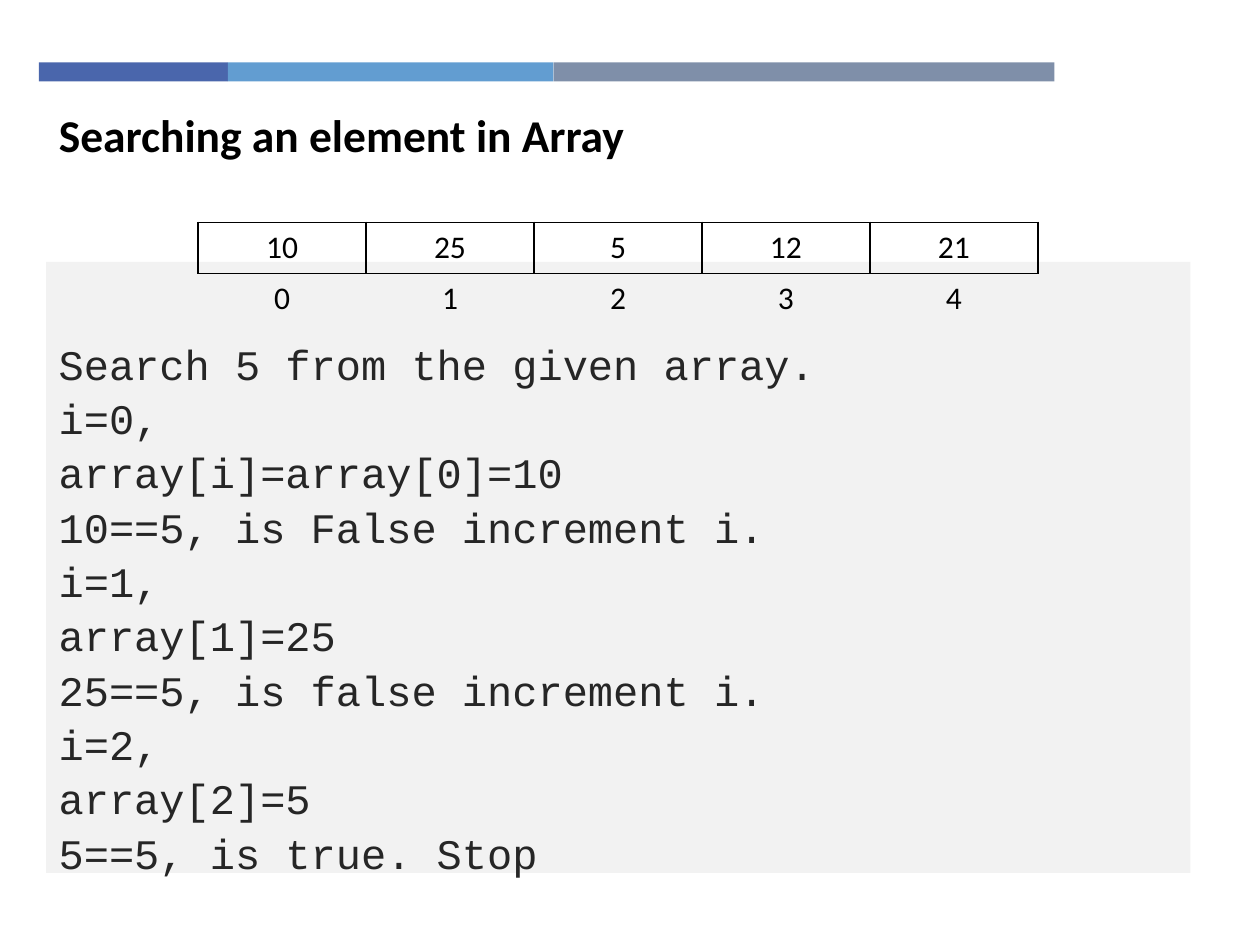
"""Build the slide on searching an element in an array."""
import pptx
import pptx.dml.color
import pptx.enum.shapes
import pptx.enum.text
import pptx.oxml
import pptx.oxml.ns
import pptx.util

Pt = pptx.util.Pt
ALIGN = pptx.enum.text.PP_ALIGN
TOP = pptx.enum.text.MSO_ANCHOR.TOP

TITLE = "Searching an element in Array"
BARS = [(108, "4A66AC"), (186, "629DD1"), (286.2, "7F8FA9")]
STEPS = [
    "Search 5 from the given array.",
    "i=0,",
    "array[i]=array[0]=10",
    "10==5, is False increment i.",
    "i=1,",
    "array[1]=25",
    "25==5, is false increment i.",
    "i=2,",
    "array[2]=5",
    "5==5, is true. Stop",
]
ROWS = [["10", "25", "5", "12", "21"], ["0", "1", "2", "3", "4"]]
EDGES = [["lnL", "lnR", "lnT", "lnB"], ["lnT"]]
PLAIN = "{2D5ABB26-0587-4C30-8999-92F81FD0307C}"
COL, ROW = 96, 29.2

HEAD = {"name": "Calibri", "size": Pt(26), "bold": True}
CODE = {"name": "Courier New", "size": Pt(24), "bold": False}
CELL = {"name": "Calibri", "size": Pt(18), "bold": False}
FLOW = {"alignment": ALIGN.JUSTIFY, "line_spacing": 0.8,
        "space_before": Pt(4), "space_after": Pt(4)}
LEFT = {"alignment": ALIGN.LEFT, "line_spacing": 1.0, "space_before": Pt(0)}
MID = {"alignment": ALIGN.CENTER}


def tint(item, color):
    item.rgb = pptx.dml.color.RGBColor.from_string(color)


def apply(item, look):
    for key, value in look.items():
        setattr(item, key, value)


def write(frame, lines, font, para, color):
    frame.text = "\n".join(lines)
    for part in frame.paragraphs:
        apply(part, para)
        for run in part.runs:
            apply(run.font, font)
            tint(run.font.color, color)


def inset(frame, top):
    apply(frame, {"word_wrap": True, "vertical_anchor": TOP,
                  "auto_size": pptx.enum.text.MSO_AUTO_SIZE.NONE,
                  "margin_left": Pt(7.2), "margin_right": Pt(7.2),
                  "margin_top": Pt(top), "margin_bottom": Pt(0)})


def block(slide, left, top, width, height, color):
    kind = pptx.enum.shapes.MSO_SHAPE.RECTANGLE
    shape = slide.shapes.add_shape(kind, Pt(left), Pt(top), Pt(width), Pt(height))
    shape.shadow.inherit = False
    shape.fill.solid()
    tint(shape.fill.fore_color, color)
    shape.line.fill.background()
    return shape


def border(cell, edges):
    props = cell._tc.get_or_add_tcPr()
    for edge in edges:
        props.append(pptx.oxml.parse_xml(
            f'<a:{edge} {pptx.oxml.ns.nsdecls("a")} w="12700"><a:solidFill>'
            f'<a:srgbClr val="000000"/></a:solidFill></a:{edge}>'))


def grid(slide):
    count = len(ROWS[0])
    table = slide.shapes.add_table(
        len(ROWS), count, Pt(113.2), Pt(127.1),
        Pt(COL * count), Pt(ROW * len(ROWS))).table
    table._tbl.tblPr.find(pptx.oxml.ns.qn("a:tableStyleId")).text = PLAIN
    apply(table, {"first_row": False, "horz_banding": False})
    for col in table.columns:
        col.width = Pt(COL)
    for r, (row, edges) in enumerate(zip(ROWS, EDGES)):
        table.rows[r].height = Pt(ROW)
        for c, text in enumerate(row):
            cell = table.cell(r, c)
            write(cell.text_frame, [text], CELL, MID, "000000")
            border(cell, edges)
            cell.fill.background()


def main():
    deck = pptx.Presentation()
    apply(deck, {"slide_width": Pt(720), "slide_height": Pt(540)})
    slide = deck.slides.add_slide(deck.slide_layouts[5])

    left = 22.3
    for width, color in BARS:
        block(slide, left, 35.7, width, 10.8, color)
        left += width

    title = slide.shapes.title
    apply(title, {"left": Pt(26.4), "top": Pt(57.6),
                  "width": Pt(515.5), "height": Pt(39)})
    inset(title.text_frame, 3.4)
    write(title.text_frame, [TITLE], HEAD, LEFT, "000000")

    panel = block(slide, 26.4, 149.6, 653.8, 349.2, "F2F2F2")
    inset(panel.text_frame, 49.2)
    write(panel.text_frame, STEPS, CODE, FLOW, "262626")

    grid(slide)
    deck.save("out.pptx")


if __name__ == "__main__":
    main()
